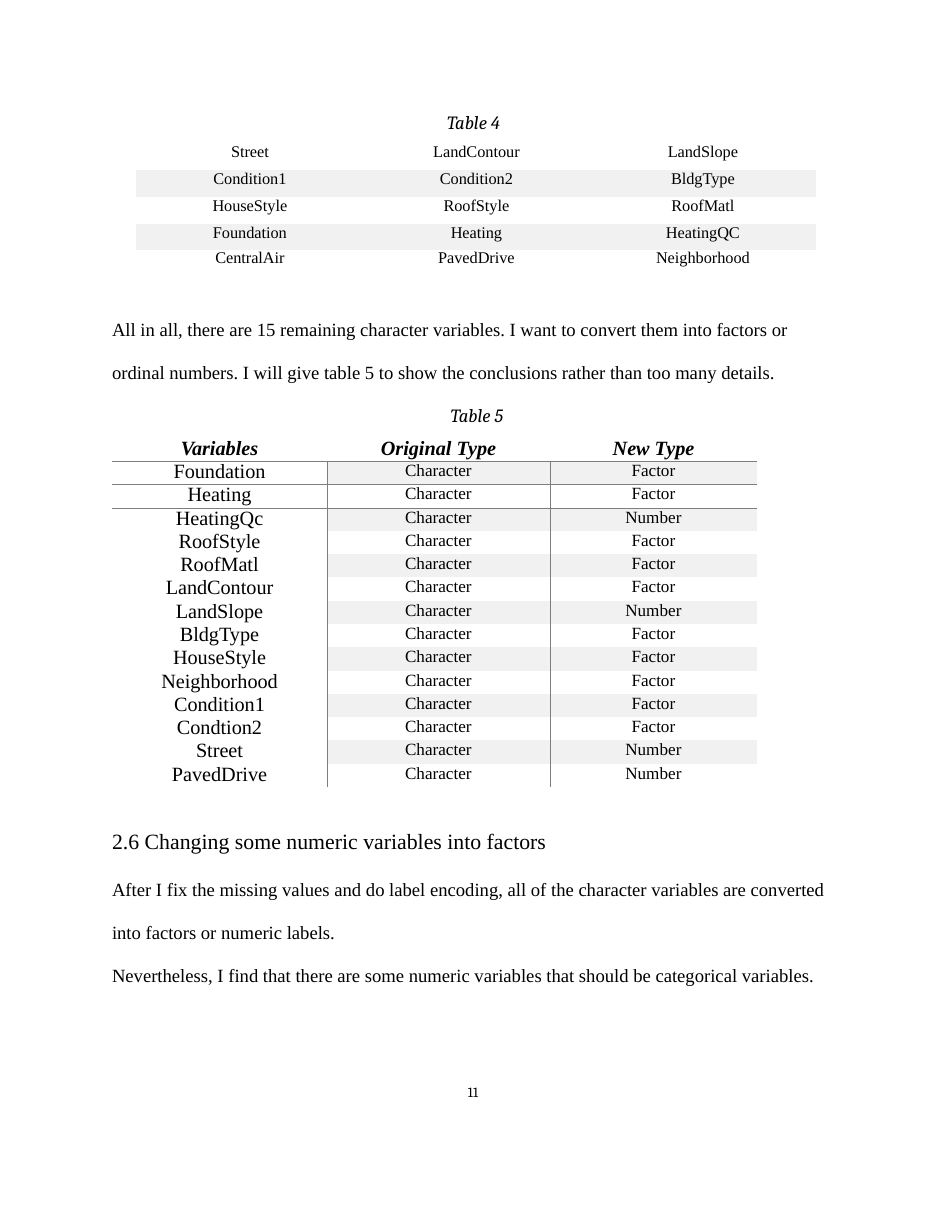
from dataclasses import dataclass

from lxml import etree
from pptx import Presentation
from pptx import util as u
from pptx.dml.color import RGBColor
from pptx.enum import text
from pptx.oxml.ns import qn

SCALE = u.Inches(1) / 112  # EMU in one px
COLORS = {"ink": "000000", "band": "F1F1F1", "rule": "7E7E7E"}
SERIF, CAPTION = "Times New Roman", "Cambria"
NO_STYLE = "{2D5ABB26-0587-4C30-8999-92F81FD0307C}"


def px(length: float) -> u.Emu:
    return u.Emu(round(length * SCALE))


@dataclass(frozen=True)
class Line:
    words: str
    size: float = 12
    font: str = SERIF
    bold: bool = False
    italic: bool = False
    centered: bool = False
    indent: int = 1
    before: float = 0
    spacing: float | u.Pt | None = None


@dataclass(frozen=True)
class TextBlock:
    left: int
    top: int
    width: int
    height: int
    lines: tuple[Line, ...]


@dataclass(frozen=True)
class Grid:
    left: int
    top: int
    columns: tuple[int, ...]
    rows: tuple[int, ...]


def write(paragraph, words: str, *, size: float, font: str = SERIF, bold: bool = False,
          italic: bool = False, centered: bool = False, indent: int = 0,
          before: float = 0, spacing: float | u.Pt | None = None) -> None:
    run = paragraph.add_run()
    run.text = words
    run.font.size, run.font.name = u.Pt(size), font
    run.font.bold, run.font.italic = bold, italic
    run.font.color.rgb = RGBColor.from_string(COLORS["ink"])
    paragraph.alignment = text.PP_ALIGN.CENTER if centered else text.PP_ALIGN.LEFT
    paragraph.space_before = u.Pt(before)
    if spacing:
        paragraph.line_spacing = spacing
    properties = paragraph._p.get_or_add_pPr()
    properties.set("marL", str(px(indent)))
    properties.set("indent", "0")


def add_text(slide, block: TextBlock) -> None:
    shape = slide.shapes.add_textbox(px(block.left), px(block.top),
                                     px(block.width), px(block.height))
    frame = shape.text_frame
    frame.word_wrap = True
    frame.margin_left = frame.margin_right = frame.margin_bottom = 0
    frame.margin_top = px(1)
    for index, line in enumerate(block.lines):
        paragraph = frame.add_paragraph() if index else frame.paragraphs[0]
        write(paragraph, line.words, size=line.size, font=line.font, bold=line.bold,
              italic=line.italic, centered=line.centered, indent=line.indent,
              before=line.before, spacing=line.spacing)


def add_grid(slide, grid: Grid):
    table = slide.shapes.add_table(len(grid.rows), len(grid.columns), px(grid.left),
                                   px(grid.top), px(sum(grid.columns)),
                                   px(sum(grid.rows))).table
    table.first_row = table.horz_banding = False
    table._tbl.tblPr.find(qn("a:tableStyleId")).text = NO_STYLE
    for column, width in zip(table.columns, grid.columns):
        column.width = px(width)
    for row, height in zip(table.rows, grid.rows):
        row.height = px(height)
    return table


def format_cell(cell, banded: bool, borders: str = "") -> None:
    """Borders is any of the letters L, R, T and B, in that order."""
    cell.margin_left = cell.margin_right = cell.margin_top = cell.margin_bottom = 0
    if banded:
        cell.fill.solid()
        cell.fill.fore_color.rgb = RGBColor.from_string(COLORS["band"])
    else:
        cell.fill.background()
    for index, side in enumerate(borders):
        line = etree.Element(qn(f"a:ln{side}"), w=str(u.Pt(0.5)))
        fill = etree.SubElement(line, qn("a:solidFill"))
        etree.SubElement(fill, qn("a:srgbClr"), val=COLORS["rule"])
        cell._tc.get_or_add_tcPr().insert(index, line)


# Table contents
REMAINING = [
    ("Street", "LandContour", "LandSlope"),
    ("Condition1", "Condition2", "BldgType"),
    ("HouseStyle", "RoofStyle", "RoofMatl"),
    ("Foundation", "Heating", "HeatingQC"),
    ("CentralAir", "PavedDrive", "Neighborhood"),
]
REMAINING_SPACING = (11.5, 11.9, 11.8, 11.9, 11.1)
REMAINING_INDENTS = (3, 4, 2)
VARIABLES = ("Foundation Heating HeatingQc RoofStyle RoofMatl LandContour LandSlope BldgType "
             "HouseStyle Neighborhood Condition1 Condtion2 Street PavedDrive").split()
NUMBERS = {"HeatingQc", "LandSlope", "Street", "PavedDrive"}
BODY_HEIGHT = 326

# Text blocks
PAGE_NUMBER = TextBlock(464, 1082, 27, 19, (
    Line("11", size=9, font=CAPTION, indent=4, before=0.6),))
FIRST_CAPTION = TextBlock(446, 110, 60, 26, (
    Line("Table 4", font=CAPTION, italic=True, before=1),))
CONVERSION = TextBlock(111, 317, 680, 112, (
    Line("All in all, there are 15 remaining character variables. "
         "I want to convert them into factors or", before=1),
    Line("ordinal numbers. I will give table 5 to show the conclusions "
         "rather than too many details.", before=13.2),
    Line("Table 5", font=CAPTION, italic=True, centered=True, indent=52, before=13.4)))
SECTION = TextBlock(111, 827, 717, 161, (
    Line("2.6 Changing some numeric variables into factors", size=14, before=1.1),
    Line("After I fix the missing values and do label encoding, all of the character "
         "variables are converted into factors or numeric labels.",
         before=2.2, spacing=1.92),
    Line("Nevertheless, I find that there are some numeric variables that should be "
         "categorical variables.", before=13.2)))


def add_remaining_table(slide) -> None:
    table = add_grid(slide, Grid(136, 143, (225, 227, 228), (27, 27, 27, 26, 19)))
    for r, names in enumerate(REMAINING):
        for c, name in enumerate(names):
            cell = table.cell(r, c)
            format_cell(cell, banded=r % 2 == 1)
            write(cell.text_frame.paragraphs[0], name, size=10.5, centered=True,
                  indent=REMAINING_INDENTS[c], spacing=u.Pt(REMAINING_SPACING[r]))


def add_types_table(slide) -> None:
    edges = [round(BODY_HEIGHT * i / len(VARIABLES)) for i in range(len(VARIABLES) + 1)]
    heights = [low - high for high, low in zip(edges, edges[1:])]
    table = add_grid(slide, Grid(112, 439, (215, 223, 207), (22, *heights)))
    contents = [("Variables", "Original Type", "New Type")]
    contents += [(name, "Character", "Number" if name in NUMBERS else "Factor")
                 for name in VARIABLES]
    for r, words in enumerate(contents):
        for c, word in enumerate(words):
            cell = table.cell(r, c)
            header, large = r == 0, r == 0 or c == 0
            borders = "" if header else ("R", "LR", "L")[c]
            borders += "T" * (r in (1, 2)) + "B" * (r in (0, 1))
            format_cell(cell, banded=r % 2 == 1 and c > 0, borders=borders)
            spacing = 13.6 if header else 14 if large else 12.7 if r == 1 else 12.4
            write(cell.text_frame.paragraphs[0], word, size=13 if large else 11,
                  bold=header, italic=header, centered=True, spacing=u.Pt(spacing))


def main() -> None:
    presentation = Presentation()
    presentation.slide_width, presentation.slide_height = px(952), px(1232)
    slide = presentation.slides.add_slide(presentation.slide_layouts[6])
    add_text(slide, PAGE_NUMBER)
    add_text(slide, FIRST_CAPTION)
    add_remaining_table(slide)
    add_text(slide, CONVERSION)
    add_types_table(slide)
    add_text(slide, SECTION)
    presentation.save("out.pptx")


if __name__ == "__main__":
    main()
